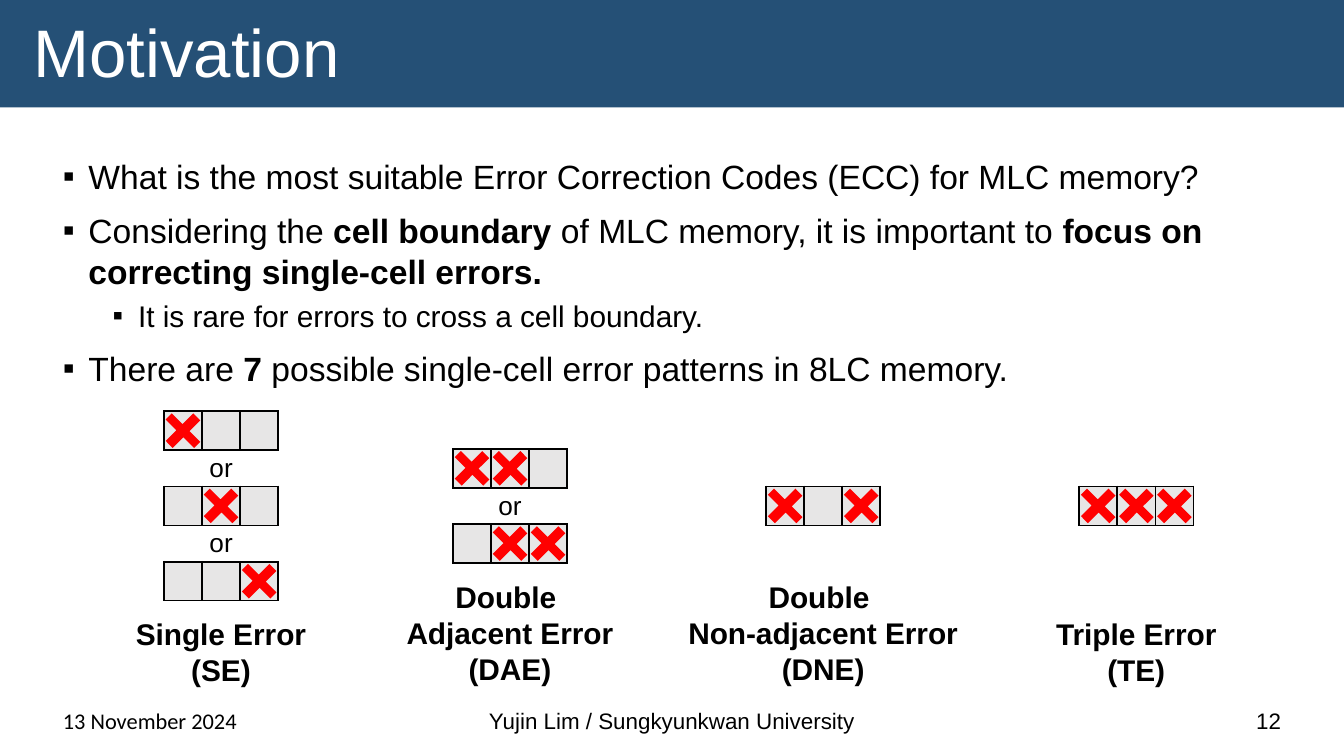
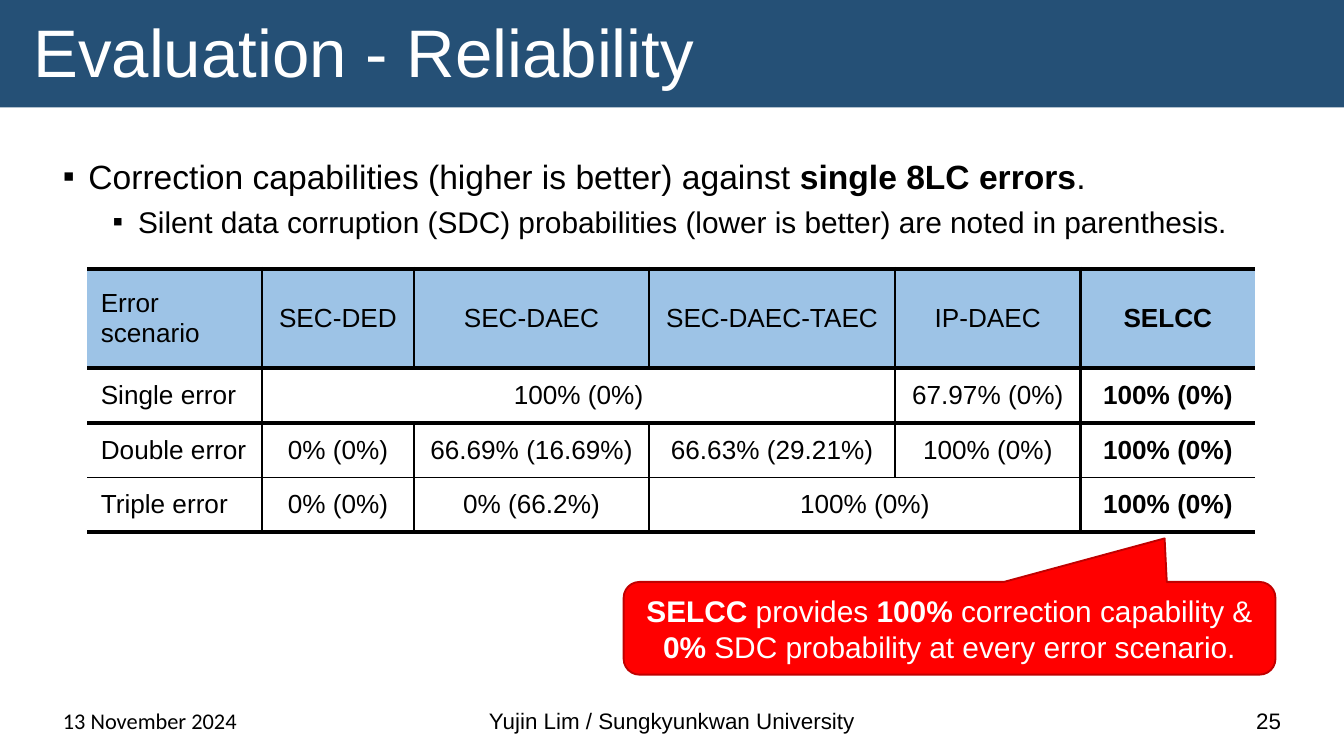
"""Build two slides on memory error patterns and correction reliability."""
from dataclasses import dataclass

from lxml import etree
from pptx import Presentation
from pptx.dml.color import RGBColor
from pptx.enum import shapes, text
from pptx.oxml import ns
from pptx.util import Inches, Pt


@dataclass(frozen=True)
class Theme:
    band: str = "255076"
    ink: str = "000000"
    paper: str = "FFFFFF"
    cell: str = "E7E6E6"
    head: str = "9DC3E6"
    alert: str = "FF0000"
    edge: str = "C00000"
    font: str = "Arial"
    alt: str = "Calibri"
    title: int = 36
    body: int = 18
    sub: int = 16
    small: int = 14
    foot: int = 12


T = Theme()
LEFT, MID, RIGHT = text.PP_ALIGN.LEFT, text.PP_ALIGN.CENTER, text.PP_ALIGN.RIGHT
SHAPE = shapes.MSO_SHAPE
ANCHOR = text.MSO_ANCHOR

DATE = "13 November 2024"
AUTHOR = "Yujin Lim / Sungkyunkwan University"

MOTIVE = [
    (0, "What is the most suitable Error Correction Codes (ECC) for MLC memory?"),
    (0, "Considering the **cell boundary **of MLC memory, it is important to "
        "**focus on correcting single-cell errors.**"),
    (1, "It is rare for errors to cross a cell boundary."),
    (0, "There are **7** possible single-cell error patterns in 8LC memory."),
]
GROUPS = [
    (1.22, ["X--", "-X-", "--X"], ["Single Error", "(SE)"]),
    (3.37, ["XX-", "-XX"], ["Double ", "Adjacent Error", "(DAE)"]),
    (5.7, ["X-X"], ["Double \nNon-adjacent Error", "(DNE)"]),
    (8.03, ["XXX"], ["Triple Error", "(TE)"]),
]
RESULT = [
    (0, "Correction capabilities (higher is better) against **single 8LC errors**."),
    (1, "Silent data corruption (SDC) probabilities (lower is better) "
        "are noted in parenthesis."),
]
GRID = [
    ["Error scenario", "SEC-DED", "SEC-DAEC", "SEC-DAEC-TAEC", "IP-DAEC", "**SELCC**"],
    ["Single error", "100% (0%)", None, None, "67.97% (0%)", "**100% (0%)**"],
    ["Double error", "0% (0%)", "66.69% (16.69%)", "66.63% (29.21%)", "100% (0%)",
     "**100% (0%)**"],
    ["Triple error", "0% (0%)", "0% (66.2%)", "100% (0%)", None, "**100% (0%)**"],
]
COLS = [1.3, 1.13, 1.75, 1.83, 1.38, 1.3]
ROWS = [0.74] + [1.22 / 3] * 3
VERT = [0, 1.5, 1, 1, 1, 1.5, 0]
HORIZ = [2.25, 2.25, 2.25, 1, 2.25]
CLAIM = ["**SELCC** provides** 100% **correction capability &",
         "**0%** SDC probability at every error scenario."]


def rgb(code):
    return RGBColor.from_string(code)


def write(para, line, size, color=T.ink, align=LEFT, font=T.font, bold=None):
    para.alignment = align
    for i, part in enumerate(line.split("**")):
        for j, piece in enumerate(part.split("\n")):
            if j:
                para.add_line_break()
            if piece:
                run = para.add_run()
                run.text = piece
                if i % 2:
                    run.font.bold = True
    para.font.size = Pt(size)
    para.font.name = font
    para.font.color.rgb = rgb(color)
    if bold:
        para.font.bold = True


def fill(frame, lines, size, **look):
    for i, line in enumerate(lines):
        para = frame.add_paragraph() if i else frame.paragraphs[0]
        write(para, line, size, **look)


def label(slide, box, lines, size, anchor=ANCHOR.TOP, wrap=True, **look):
    frame = slide.shapes.add_textbox(*map(Inches, box)).text_frame
    frame.word_wrap = wrap
    frame.vertical_anchor = anchor
    fill(frame, lines, size, **look)
    return frame


def draw(slide, kind, box, color, line=None):
    shape = slide.shapes.add_shape(kind, *map(Inches, box))
    shape.shadow.inherit = False
    shape.fill.solid()
    shape.fill.fore_color.rgb = rgb(color)
    if line:
        shape.line.color.rgb = rgb(line)
        shape.line.width = Pt(1)
    else:
        shape.line.fill.background()
    return shape


def bullets(slide, items):
    frame = slide.shapes.add_textbox(*map(Inches, (0.37, 1.11, 9.26, 3.95))).text_frame
    frame.word_wrap = True
    for i, (level, line) in enumerate(items):
        para = frame.add_paragraph() if i else frame.paragraphs[0]
        para.level = level
        if i:
            para.space_before = Pt(3.8 if level else 7.5)
        props = para._p.get_or_add_pPr()
        props.set("marL", str(Inches(0.56 if level else 0.19)))
        props.set("indent", str(Inches(-0.19)))
        etree.SubElement(props, ns.qn("a:buFont"), typeface=T.font)
        etree.SubElement(props, ns.qn("a:buChar"), char="▪")
        write(para, line, T.sub if level else T.body)


def start(deck, title, number, items):
    slide = deck.slides.add_slide(deck.slide_layouts[6])
    draw(slide, SHAPE.RECTANGLE, (0, 0, 10, 0.8), T.band)
    bullets(slide, items)
    head = label(slide, (0.15, 0.1, 9.7, 0.63), [title], T.title, ANCHOR.MIDDLE,
                 wrap=False, color=T.paper)
    head.paragraphs[0].line_spacing = 0.9
    for left, width, line, align, font in [
        (3.31, 3.38, AUTHOR, MID, T.font),
        (7.06, 2.57, str(number), RIGHT, T.font),
        (0.37, 2.57, DATE, LEFT, T.alt),
    ]:
        label(slide, (left, 5.21, width, 0.3), [line], T.foot, ANCHOR.BOTTOM,
              align=align, font=font)
    return slide


def border(cell, **sides):
    props = cell._tc.get_or_add_tcPr()
    for side in "LRTB":
        width = sides[side]
        line = etree.SubElement(props, ns.qn("a:ln" + side), w=str(Pt(width)))
        if width:
            ink = etree.SubElement(line, ns.qn("a:solidFill"))
            etree.SubElement(ink, ns.qn("a:srgbClr"), val=T.ink)
        else:
            etree.SubElement(line, ns.qn("a:noFill"))


def table(slide, left, top, cols, rows):
    box = map(Inches, (left, top, sum(cols), sum(rows)))
    grid = slide.shapes.add_table(len(rows), len(cols), *box).table
    grid.first_row = grid.horz_banding = False
    for col, width in zip(grid.columns, cols):
        col.width = Inches(width)
    for row, height in zip(grid.rows, rows):
        row.height = Inches(height)
    return grid


def paint(cell, color):
    cell.fill.solid()
    cell.fill.fore_color.rgb = rgb(color)


def pattern(slide, left, top, marks):
    side, high = 0.85 / len(marks), 0.29
    grid = table(slide, left, top, [side] * len(marks), [high])
    for i, mark in enumerate(marks):
        cell = grid.cell(0, i)
        cell.margin_top = cell.margin_bottom = 0
        cell.text_frame.paragraphs[0].font.size = Pt(T.foot)
        border(cell, L=1, R=1, T=1, B=1)
        paint(cell, T.cell)
        if mark == "X":
            mid = left + (i + 0.5) * side
            cross = draw(slide, SHAPE.CROSS, (mid - 0.15, top, 0.3, high), T.alert)
            cross.adjustments[0] = 0.39
            cross.rotation = 45


def motive(deck):
    slide = start(deck, "Motivation", 12, MOTIVE)
    step, wide = 0.56, 2.67
    for left, marks, name in GROUPS:
        first = 3.62 - (len(marks) - 1) / 2 * step
        for i, mark in enumerate(marks):
            top = first + i * step
            pattern(slide, left, top, mark)
            if i:
                label(slide, (left, top - 0.31, 0.85, 0.34), ["or"], T.small, align=MID)
        high = 0.1 + 0.27 * len("\n".join(name).split("\n"))
        label(slide, (left + 0.425 - wide / 2, 5.17 - high, wide, high), name, T.sub,
              align=MID, bold=True)


def result(deck):
    slide = start(deck, "Evaluation - Reliability", 25, RESULT)
    grid = table(slide, 0.65, 2, COLS, ROWS)
    for r, row in enumerate(GRID):
        for c, line in enumerate(row):
            cell = grid.cell(r, c)
            end = c + 1
            while end < len(row) and row[end] is None:
                end += 1
            border(cell, L=0 if line is None else VERT[c], R=VERT[end],
                   T=HORIZ[r], B=HORIZ[r + 1])
            if r:
                cell.fill.background()
            else:
                paint(cell, T.head)
            if line is None:
                continue
            cell.vertical_anchor = ANCHOR.MIDDLE
            write(cell.text_frame.paragraphs[0], line, T.small, align=MID if c else LEFT)
            if end > c + 1:
                cell.merge(grid.cell(r, end - 1))
    note = draw(slide, SHAPE.ROUNDED_RECTANGULAR_CALLOUT, (4.64, 4.33, 4.85, 0.69),
                T.alert, T.edge)
    for i, value in enumerate((0.33, -0.97, 0.17)):
        note.adjustments[i] = value
    note.text_frame.word_wrap = False
    note.text_frame.vertical_anchor = ANCHOR.MIDDLE
    fill(note.text_frame, CLAIM, T.sub, color=T.paper, align=MID)


def main():
    deck = Presentation()
    deck.slide_width = Inches(10)
    deck.slide_height = deck.slide_width * 9 // 16
    motive(deck)
    result(deck)
    deck.save("out.pptx")


if __name__ == "__main__":
    main()
